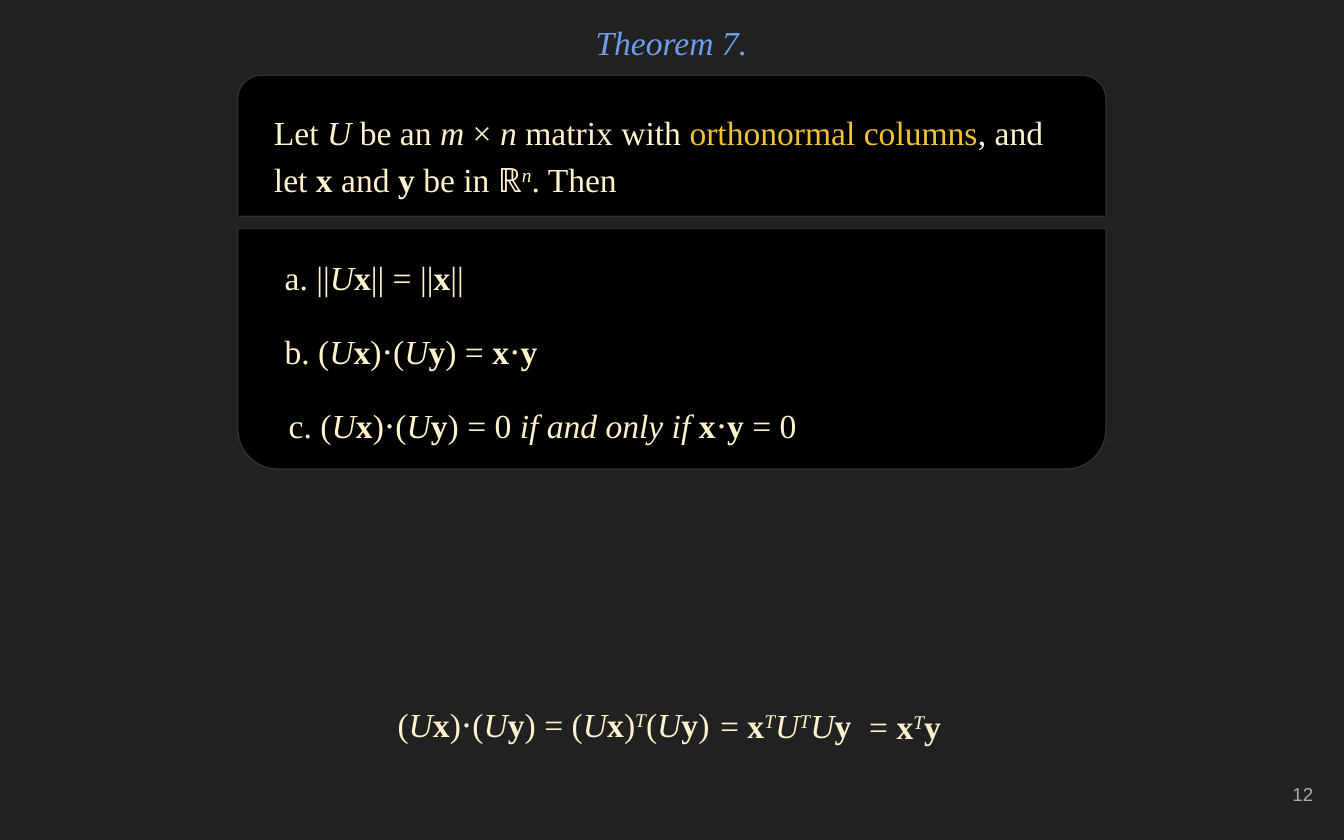
from typing import NamedTuple

from pptx import Presentation
from pptx.dml.color import RGBColor
from pptx.enum.shapes import MSO_SHAPE as Shape
from pptx.enum.text import MSO_ANCHOR as Anchor, MSO_AUTO_SIZE as AutoSize, PP_ALIGN as Align
from pptx.util import Pt

COLORS = {
    "background": "212121",
    "panel": "000000",
    "border": "303030",
    "text": "FFF2CC",
    "accent": "F1C232",
    "title": "6D9EEB",
    "number": "ADADAD",
}
SERIF = "Times New Roman"
INSET = 7.2
PANEL_LEFT, PANEL_WIDTH = 127.4, 465.1


class Panel(NamedTuple):
    top: float
    height: float
    rotation: int


class Passage(NamedTuple):
    left: float
    top: float
    width: float
    height: float
    markup: str


PANELS = [Panel(122.4, 128.9, 180), Panel(40.3, 75.6, 0)]

PREMISE = Passage(
    139.7, 49.7, 440.6, 48.2,
    "Let _U_ be an _m_ × _n _matrix with ~orthonormal columns~, and "
    "let *x* and *y* be in ℝ^n^. Then",
)
CLAIMS = [
    (145.4, "a. ||_U_*x*|| = ||*x*||"),
    (145.4, "b. (_U_*x*)⋅(_U_*y*) = *x*⋅*y*"),
    (147.6, "c. (_U_*x*)⋅(_U_*y*) = 0 _if and only if _*x*⋅*y *= 0"),
]
CLAIM_TOP, CLAIM_STEP = 127.4, 39.6
PROOF = [
    Passage(205.9, 366.5, 184.3, 62.6, "(_U_*x*)⋅(_U_*y*) = (_U_*x*)^T^(_U_*y*)"),
    Passage(378.7, 367.2, 91.4, 41.8, "= *x*^T^_U_^T^_U_*y*"),
    Passage(458.6, 367.9, 67, 40.3, "= *x*^T^*y*"),
]


def color(name: str) -> RGBColor:
    return RGBColor.from_string(COLORS[name])


def add_span(para, text: str, *, ink="text", size=18, font=SERIF,
             bold=False, italic=False, superscript=False) -> None:
    span = para.add_run()
    span.text = text
    span.font.name = font
    span.font.size = Pt(size)
    span.font.bold = bold
    span.font.italic = italic
    span.font.color.rgb = color(ink)
    if superscript:
        span.font._element.set("baseline", "30000")


def add_marked_text(para, markup: str) -> None:
    """Format _italic_, *bold*, ^superscript^ and ~accent~ pieces."""
    styles = {
        "_": {"italic": True},
        "*": {"bold": True},
        "^": {"italic": True, "superscript": True},
        "~": {"ink": "accent"},
    }
    active, piece = "", ""
    for char in markup:
        if char not in styles:
            piece += char
            continue
        if piece:
            add_span(para, piece, **styles.get(active, {}))
        active, piece = ("" if active == char else char), ""
    if piece:
        add_span(para, piece, **styles.get(active, {}))


def prepare_frame(box, anchor=Anchor.TOP, align=Align.LEFT):
    """Set the frame of a text box and return its first paragraph."""
    frame = box.text_frame
    frame.word_wrap = True
    frame.auto_size = AutoSize.NONE
    frame.vertical_anchor = anchor
    frame.margin_left = frame.margin_right = Pt(INSET)
    frame.margin_top = frame.margin_bottom = Pt(INSET)
    para = frame.paragraphs[0]
    para.alignment = align
    return para


def add_panel(page, panel: Panel) -> None:
    shape = page.shapes.add_shape(
        Shape.ROUND_2_SAME_RECTANGLE,
        Pt(PANEL_LEFT), Pt(panel.top), Pt(PANEL_WIDTH), Pt(panel.height),
    )
    shape.rotation = panel.rotation
    shape.shadow.inherit = False
    shape.fill.solid()
    shape.fill.fore_color.rgb = color("panel")
    shape.line.color.rgb = color("border")
    shape.line.width = Pt(0.75)


def add_passage(page, passage: Passage) -> None:
    box = page.shapes.add_textbox(*(Pt(length) for length in passage[:4]))
    para = prepare_frame(box)
    para.line_spacing = 1.15
    para.space_after = Pt(10)
    add_marked_text(para, passage.markup)


def add_title(page, text: str) -> None:
    title = page.shapes.title
    title.left, title.top, title.width, title.height = Pt(34.6), Pt(1.4), Pt(650.2), Pt(41.8)
    para = prepare_frame(title, Anchor.MIDDLE, Align.CENTER)
    add_span(para, text, ink="title", italic=True)


def add_page_number(page, number: str) -> None:
    box = page.shapes.add_textbox(Pt(667.4), Pt(408.2), Pt(43.2), Pt(34.6))
    para = prepare_frame(box, Anchor.MIDDLE, Align.RIGHT)
    add_span(para, number, ink="number", size=10, font="Arial")


def main() -> None:
    deck = Presentation()
    deck.slide_width, deck.slide_height = Pt(720), Pt(450)
    page = deck.slides.add_slide(deck.slide_layouts[5])
    page.background.fill.solid()
    page.background.fill.fore_color.rgb = color("background")

    add_title(page, "Theorem 7.")
    for panel in PANELS:
        add_panel(page, panel)
    add_passage(page, PREMISE)
    for index, (left, markup) in enumerate(CLAIMS):
        top = CLAIM_TOP + index * CLAIM_STEP
        add_passage(page, Passage(left, top, PREMISE.width, PREMISE.height, markup))
    for step in PROOF:
        add_passage(page, step)
    add_page_number(page, "12")
    deck.save("out.pptx")


if __name__ == "__main__":
    main()
